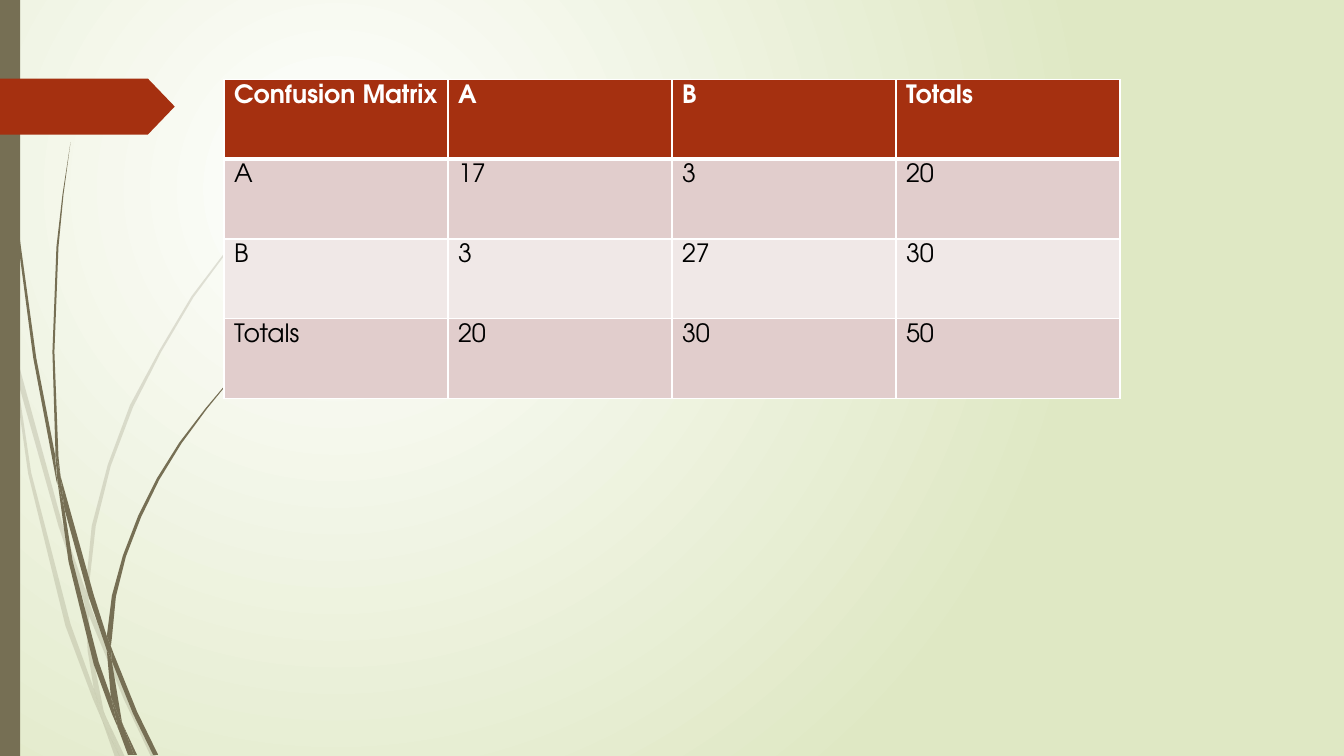
from lxml import etree
from pptx import Presentation
from pptx import util as u
from pptx.dml.color import RGBColor
from pptx.enum import shapes
from pptx.oxml import parse_xml
from pptx.oxml.ns import nsdecls, qn

WHITE = RGBColor(0xFF, 0xFF, 0xFF)
BLACK = RGBColor(0x00, 0x00, 0x00)
PALE_GREEN = RGBColor(0xDF, 0xE8, 0xC4)
OLIVE = RGBColor(0x76, 0x6F, 0x54)
RUST = RGBColor(0xA5, 0x30, 0x10)
BAND_DARK = RGBColor(0xE1, 0xCD, 0xCC)
BAND_LIGHT = RGBColor(0xF0, 0xE8, 0xE7)
FONT = "TeX Gyre Adventor"

W, H = u.Inches(13.333), u.Inches(7.5)
COL, ROW = int(W / 6), int(H * 0.1056)

# Grass pieces: corners of each outline, in inches
FAINT_GRASS = [
    [(0.11, 3.5), (0.09, 3.22), (0, 2.82), (0, 2.99), (0.1, 3.44)],
    [(0.58, 5.22), (0.84, 5.99), (0.85, 5.86), (0.62, 5.2), (0.14, 3.45),
     (0.17, 3.76)],
    [(0.92, 6.07), (0.88, 5.96), (0.88, 6.1), (1.23, 6.94), (1.5, 7.51),
     (1.55, 7.51), (1.27, 6.92)],
    [(1.19, 7.51), (1.24, 7.51), (1.05, 7.11)],
    [(0.93, 6.83), (0.7, 6.19), (0.31, 4.69), (0.17, 3.76), (0.11, 3.5),
     (0.28, 4.7), (0.65, 6.21), (0.92, 6.93), (1.01, 7.14), (0.99, 7.07)],
    [(0.84, 5.99), (0.87, 6.46), (0.93, 6.83), (0.96, 6.92), (1.05, 7.11),
     (1.03, 7.06), (0.91, 6.46), (0.88, 6.1), (0.88, 6.08)],
    [(0.88, 5.84), (0.95, 5.22), (1.1, 4.62), (1.32, 4.04), (1.6, 3.49),
     (1.92, 2.95), (2.29, 2.45), (2.68, 1.98), (2.9, 1.75), (3.12, 1.54),
     (3.12, 1.53), (2.89, 1.75), (2.68, 1.97), (2.28, 2.44), (1.9, 2.94),
     (1.58, 3.48), (1.29, 4.02), (1.07, 4.61), (0.91, 5.22), (0.85, 5.84),
     (0.85, 5.86), (0.88, 5.96)],
    [(1.01, 7.14), (1.14, 7.51), (1.19, 7.51)],
    [(0.88, 6.08), (0.88, 6.1), (0.88, 5.96), (0.85, 5.86), (0.84, 5.99)],
    [(0.96, 6.92), (0.93, 6.83), (0.99, 7.07), (1.01, 7.14), (1.19, 7.51),
     (1.05, 7.11)],
]
SOLID_GRASS = [
    [(0.07, 1.1), (0.17, 2.33), (0.33, 3.55), (0.56, 4.77), (0.57, 4.81),
     (0.55, 4.57), (0.55, 4.53), (0.36, 3.55), (0.19, 2.32), (0.08, 1.09),
     (0.05, 0.48), (0.04, 0), (0.03, 0), (0.04, 0.48)],
    [(0.88, 5.92), (1.06, 6.45), (1.06, 6.33), (1.06, 6.31), (0.93, 5.9),
     (0.6, 4.72), (0.64, 5.05)],
    [(1.13, 6.49), (1.1, 6.41), (1.11, 6.56), (1.32, 7.08), (1.52, 7.49),
     (1.57, 7.49), (1.36, 7.06)],
    [(1.1, 6.91), (0.98, 6.57), (0.72, 5.56), (0.64, 5.05), (0.57, 4.77),
     (0.68, 5.57), (0.93, 6.59), (1.11, 7.08), (1.17, 7.22), (1.16, 7.17)],
    [(0.6, 4.72), (0.58, 4.53), (0.54, 3.49), (0.58, 2.45), (0.63, 1.93),
     (0.7, 1.41), (0.62, 1.93), (0.56, 2.45), (0.52, 3.49), (0.55, 4.49)],
    [(1.33, 7.49), (1.36, 7.49), (1.22, 7.19)],
    [(0.57, 4.77), (0.64, 5.05), (0.6, 4.72), (0.55, 4.49), (0.55, 4.53)],
    [(1.11, 6.33), (1.15, 5.92), (1.25, 5.52), (1.4, 5.13), (1.58, 4.76),
     (1.8, 4.4), (2.05, 4.06), (2.31, 3.74), (2.45, 3.59), (2.61, 3.44),
     (2.6, 3.44), (2.45, 3.58), (2.31, 3.73), (2.04, 4.05), (1.78, 4.39),
     (1.56, 4.74), (1.37, 5.12), (1.22, 5.51), (1.11, 5.91), (1.06, 6.31),
     (1.1, 6.41)],
    [(1.17, 7.22), (1.27, 7.49), (1.31, 7.49)],
    [(1.06, 6.45), (1.1, 6.91), (1.16, 7.06), (1.22, 7.19), (1.21, 7.16),
     (1.11, 6.56), (1.09, 6.51)],
    [(1.06, 6.45), (1.09, 6.51), (1.11, 6.56), (1.1, 6.41), (1.06, 6.31),
     (1.06, 6.33)],
    [(1.16, 7.06), (1.1, 6.91), (1.16, 7.17), (1.17, 7.22), (1.3, 7.49),
     (1.33, 7.49), (1.22, 7.19)],
]


def paint(sp, color, opacity=100):
    """Give a shape a flat fill without line or shadow."""
    sp.shadow.inherit = False
    sp.line.fill.background()
    sp.fill.solid()
    sp.fill.fore_color.rgb = color
    if opacity < 100:
        clr = sp._element.spPr.find(qn("a:solidFill"))[0]
        etree.SubElement(clr, qn("a:alpha")).set("val", str(opacity * 1000))


def rule(cell, **widths):
    """Draw white cell borders, with widths in points by side L, R, T, B."""
    for i, (side, width) in enumerate(widths.items()):
        cell._tc.get_or_add_tcPr().insert(i, parse_xml(
            f'<a:ln{side} {nsdecls("a")} w="{u.Pt(width)}"><a:solidFill>'
            f'<a:srgbClr val="{WHITE}"/></a:solidFill></a:ln{side}>'))


prs = Presentation()
prs.slide_width, prs.slide_height = W, H
s = prs.slides.add_slide(prs.slide_layouts[6])

# Background: radial glow in the upper left
fill = s.background.fill
fill.gradient()
for stop, color in zip(fill.gradient_stops, (WHITE, PALE_GREEN)):
    stop.color.rgb = color
grad = s._element.find(".//" + qn("a:gradFill"))
grad.replace(grad.find(qn("a:lin")), parse_xml(
    f'<a:path {nsdecls("a")} path="circle">'
    '<a:fillToRect l="50000" t="50000" r="100000" b="100000"/></a:path>'))

# Grass
for grass, opacity in ((FAINT_GRASS, 20), (SOLID_GRASS, 100)):
    for piece in grass:
        outline = [(u.Inches(x), u.Inches(y)) for x, y in piece]
        fb = s.shapes.build_freeform(*outline[0])
        fb.add_line_segments(outline[1:], close=True)
        paint(fb.convert_to_shape(), OLIVE, opacity)

# Side bar and page tag
bar = s.shapes.add_shape(shapes.MSO_SHAPE.RECTANGLE, 0, 0, int(W * 0.015), H)
paint(bar, OLIVE)
tag = s.shapes.add_shape(shapes.MSO_SHAPE.PENTAGON, 0, int(H * 0.104),
                         int(W * 0.13), int(H * 0.074))
tag.adjustments[0] = 0.48
paint(tag, RUST)

# Confusion matrix
rows = [
    ("Confusion Matrix", "A", "B", "Totals"),
    ("A", "17", "3", "20"),
    ("B", "3", "27", "30"),
    ("Totals", "20", "30", "50"),
]
fills = (RUST, BAND_DARK, BAND_LIGHT, BAND_DARK)
table = s.shapes.add_table(4, 4, COL, int(H * 0.105), 4 * COL, 4 * ROW).table
for i, values in enumerate(rows):
    table.rows[i].height = ROW
    for j, value in enumerate(values):
        cell = table.cell(i, j)
        cell.fill.solid()
        cell.fill.fore_color.rgb = fills[i]
        rule(cell, L=1, R=1, T=3 if i == 1 else 1, B=3 if i == 0 else 1)
        p = cell.text_frame.paragraphs[0]
        p.text = value
        p.font.name = FONT
        p.font.size = u.Pt(18)
        p.font.bold = i == 0
        p.font.color.rgb = WHITE if i == 0 else BLACK

prs.save("out.pptx")
